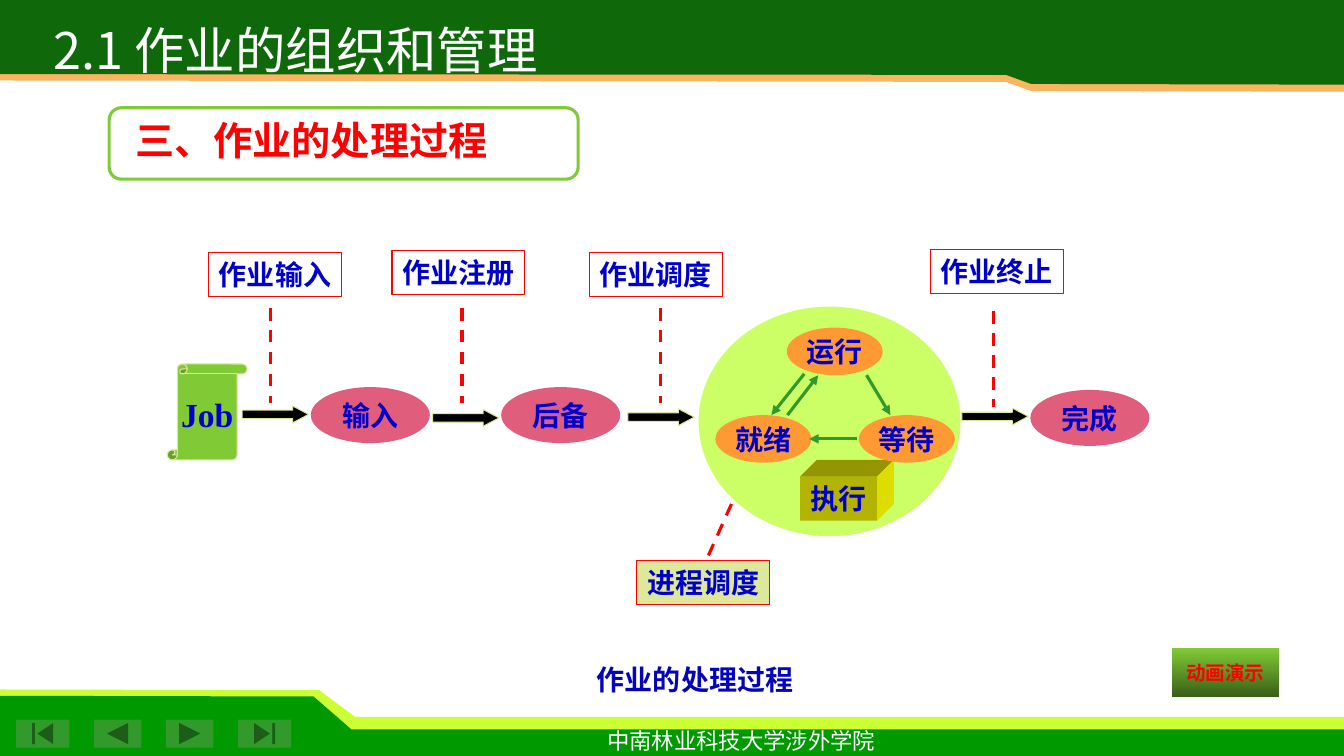
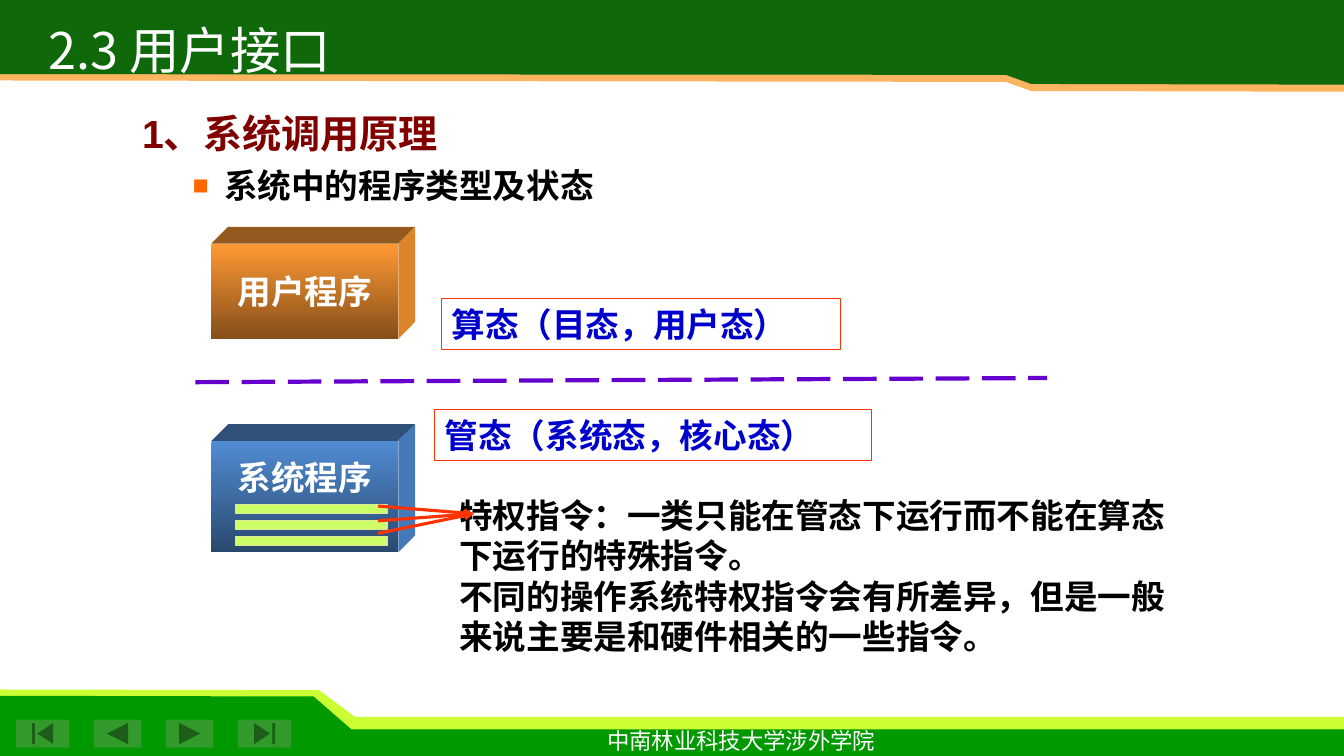
from lxml.etree import Element, SubElement
from pptx import Presentation
from pptx.dml.color import RGBColor
from pptx.enum.dml import MSO_LINE as Dash
from pptx.enum.shapes import MSO_CONNECTOR, MSO_SHAPE as Kind
from pptx.enum.text import MSO_ANCHOR as Anchor, PP_ALIGN as Align
from pptx.oxml.ns import qn
from pptx.util import Pt

rgb = RGBColor.from_string
HAN = "Noto Sans CJK SC"
ROMAN = "Times New Roman"
BLUE, RED, WHITE, BLACK = "0000CC", "FF0000", "FFFFFF", "000000"
GREEN, LEAF, LIME, CREAM = "329A2A", "80CB35", "CCFF66", "DDE89A"
ORANGE, FLAME = "FF9933", "FF3300"


def draw(slide, kind, box, fill=None, edge=None, width=0.75, text="",
         size=20, ink=BLUE, font=ROMAN, bold=True, left=False, deep=None):
    """Add a preset shape, or an outline when kind is None, with its text."""
    if kind is None:
        dots = [(Pt(x), Pt(y)) for x, y in box]
        pen = slide.shapes.build_freeform(*dots[0], scale=1.0)
        pen.add_line_segments(dots[1:], close=True)
        shape = pen.convert_to_shape()
    else:
        shape = slide.shapes.add_shape(kind, *map(Pt, box))
    shape.shadow.inherit = False
    if isinstance(fill, tuple):
        shape.fill.gradient()
        shape.fill.gradient_angle = 270
        for stop, tone in zip(shape.fill.gradient_stops, fill):
            stop.color.rgb = rgb(tone)
    elif fill:
        shape.fill.solid()
        shape.fill.fore_color.rgb = rgb(fill)
    else:
        shape.fill.background()
    if edge:
        shape.line.color.rgb = rgb(edge)
        shape.line.width = Pt(width)
    else:
        shape.line.fill.background()
    if deep:
        x, y, w, h = box
        r, b, d = x + w, y + h, 12
        draw(slide, None, [(x, y), (x + d, y - d), (r + d, y - d), (r, y)], deep[0])
        draw(slide, None, [(r, y), (r + d, y - d), (r + d, b - d), (r, b)], deep[1])
    if text:
        frame = shape.text_frame
        frame.text = text
        frame.word_wrap = left
        frame.vertical_anchor = Anchor.MIDDLE
        for par in frame.paragraphs:
            par.alignment = Align.LEFT if left else Align.CENTER
            par.font.size, par.font.bold, par.font.name = Pt(size), bold, font
            par.font.color.rgb = rgb(ink)
            SubElement(par._p.pPr.find(qn("a:defRPr")), qn("a:ea"), typeface=HAN)
    return shape


def link(slide, ends, ink, width=2.25, dash=None, head=False):
    """Add a straight line, with an arrowhead at its end if asked."""
    wire = slide.shapes.add_connector(MSO_CONNECTOR.STRAIGHT, *map(Pt, ends))
    wire.line.color.rgb = rgb(ink)
    wire.line.width = Pt(width)
    if dash:
        wire.line.dash_style = dash
    if head:
        SubElement(wire.line._get_or_add_ln(), qn("a:tailEnd"), type="triangle")
    SubElement(wire._element.spPr, qn("a:effectLst"))


deck = Presentation()
deck.slide_width, deck.slide_height = Pt(960), Pt(540)

# Shared bands, buttons, footer and title
bands = [
    ("CCFF33", [(0, 492.5), (228, 493), (253.5, 512), (960, 512), (960, 533), (0, 533)]),
    ("009900", [(0, 497), (224, 497.5), (251, 521), (960, 521), (960, 540), (0, 540)]),
    ("FBB561", [(0, 0), (960, 0), (960, 65.5), (736.5, 65), (718.5, 58.5), (0, 57.5)]),
    ("0F690B", [(0, 0), (960, 0), (960, 60.5), (736.5, 60), (718.5, 53.5), (0, 53)]),
]
keys = [
    (Kind.ACTION_BUTTON_BEGINNING, 11.5, 38),
    (Kind.ACTION_BUTTON_BACK_OR_PREVIOUS, 67, 34),
    (Kind.ACTION_BUTTON_FORWARD_OR_NEXT, 118.5, 34),
    (Kind.ACTION_BUTTON_END, 170, 38),
]
for name, x in [("2.1 作业的组织和管理", 38), ("2.3 用户接口", 34.5)]:
    slide = deck.slides.add_slide(deck.slide_layouts[5])
    for tone, dots in bands:
        draw(slide, None, dots, tone)
    for kind, at, wide in keys:
        draw(slide, kind, (at, 514, wide, 20), GREEN)
    draw(slide, Kind.RECTANGLE, (425.5, 518.5, 208, 27 - 6), text="中南林业科技大学涉外学院",
         size=16, ink=WHITE, bold=False)
    title = slide.shapes.title
    slide.shapes._spTree.append(title._element)
    title.left, title.top, title.width, title.height = map(Pt, (x, 9, 600, 52))
    frame = title.text_frame
    frame.text = name
    frame.margin_left = 0
    frame.vertical_anchor = Anchor.MIDDLE
    par = frame.paragraphs[0]
    par.alignment = Align.LEFT
    par.font.size, par.font.name = Pt(36), HAN
    par.font.color.rgb = rgb(WHITE)
    SubElement(par._p.pPr.find(qn("a:defRPr")), qn("a:ea"), typeface=HAN)
flow, calls = deck.slides

# Slide 1: heading and caption
frame = draw(flow, Kind.ROUNDED_RECTANGLE, (78, 77, 335, 51), WHITE, LEAF, 2.25)
frame.adjustments[0] = 0.17
draw(flow, Kind.RECTANGLE, (89.5, 78, 321, 44), text="三、作业的处理过程",
     size=28, ink=RED, font="Arial", left=True)
draw(flow, Kind.RECTANGLE, (418, 469, 157, 32), text="作业的处理过程", ink="0404BC")
draw(flow, Kind.ACTION_BUTTON_CUSTOM, (837, 463, 76.5, 34.5), (LEAF, "3A5F18"),
     text="动画演示", size=14, ink=RED)

# Run cycle inside the circle
draw(flow, Kind.OVAL, (499, 219, 187, 164), LIME)
draw(flow, Kind.RECTANGLE, (571.5, 340.5, 55, 31.5), "B3B300", text="执行",
     deep=("959500", "DDDD00"))
for word, x, y in [("运行", 562, 234), ("就绪", 511, 296.5), ("等待", 613.5, 296.5)]:
    draw(flow, Kind.OVAL, (x, y, 68.5, 34), ORANGE, text=word)
for ends in [(574.5, 267, 551, 296.5), (562.5, 296.5, 584.5, 268),
             (619, 268, 636, 296.5), (612, 313.5, 578, 313.5)]:
    link(flow, ends, GREEN, head=True)

# Job, states and block arrows
draw(flow, Kind.VERTICAL_SCROLL, (119.5, 260, 57, 68.5), LEAF, CREAM, text="Job", size=24)
for word, x, y in [("输入", 222, 276.5), ("后备", 358, 276.5), ("完成", 736, 278.5)]:
    draw(flow, Kind.OVAL, (x, y, 85, 40), "E15D7C", text=word)
for x, y in [(173, 290), (309, 292.5), (448.5, 292), (687, 291.5)]:
    arrow = draw(flow, Kind.RIGHT_ARROW, (x, y, 47.5, 12), BLACK, CREAM)
    arrow.adjustments[1] = 0.95

# Labels with dashed leads
for word, x, y, fill, lead in [
    ("作业输入", 149, 180.5, None, (193.5, 220, 193.5, 288)),
    ("作业注册", 280, 179, None, (330, 220, 330, 288)),
    ("作业调度", 421, 180.5, None, (471.5, 220, 471.5, 288)),
    ("作业终止", 664.5, 178, None, (709.5, 222.5, 709.5, 291)),
    ("进程调度", 455, 400.5, CREAM, (522.5, 360, 505.5, 398)),
]:
    draw(flow, Kind.RECTANGLE, (x, y, 95, 31.5), fill, RED, text=word)
    link(flow, lead, RED, dash=Dash.DASH)

# Slide 2: heading and bullet
body = draw(calls, Kind.RECTANGLE, (94.5, 74, 753.5, 80),
            text="1、系统调用原理\n系统中的程序类型及状态", size=28, ink="800000",
            font="Arial", left=True)
body.text_frame.vertical_anchor = Anchor.TOP
head, item = body.text_frame.paragraphs
head.line_spacing = Pt(34)
item.line_spacing, item.space_before = Pt(30), Pt(5)
item.font.size = Pt(24)
item.font.color.rgb = rgb(BLACK)
props = item._p.pPr
props.set("marL", str(Pt(58.5)))
props.set("indent", str(-Pt(22.5)))
tint = Element(qn("a:buClr"))
SubElement(tint, qn("a:srgbClr"), val="FF6600")
for mark in [tint, Element(qn("a:buSzPct"), val="80000"),
             Element(qn("a:buFont"), typeface="Arial"),
             Element(qn("a:buChar"), char="■")]:
    props.find(qn("a:defRPr")).addprevious(mark)

# Program boxes and the line between the two modes
draw(calls, Kind.RECTANGLE, (151, 174, 133.5, 68), (ORANGE, "854F1A"), text="用户程序",
     size=24, ink=WHITE, deep=("94591E", "DC8429"))
core = draw(calls, Kind.RECTANGLE, (151, 315, 133.5, 79.5), ("518CD3", "2A496E"),
            text="系统程序", size=24, ink=WHITE, deep=("2F517A", "4679B7"))
core.text_frame.margin_bottom = Pt(31)
link(calls, (139.5, 273, 748, 270), "6600CC", 3, Dash.LONG_DASH)
for word, box in [("算态（目态，用户态）", (315.5, 213, 285, 36.5)),
                  ("管态（系统态，核心态）", (310.5, 292.5, 312, 36.5))]:
    draw(calls, Kind.RECTANGLE, box, None, FLAME, text=word, size=24, left=True)

# Privileged instructions
note = draw(calls, Kind.RECTANGLE, (321, 349.5, 527, 124), size=24, ink=BLACK, left=True,
            text="特权指令：一类只能在管态下运行而不能在算态下运行的特殊指令。\n"
                 "不同的操作系统特权指令会有所差异，但是一般来说主要是和硬件相关的一些指令。")
note.text_frame.vertical_anchor = Anchor.TOP
for par in note.text_frame.paragraphs:
    par.line_spacing = Pt(29)
for row in range(3):
    draw(calls, Kind.RECTANGLE, (168.5, 360.5 + 11.5 * row, 108, 6), LIME, CREAM)
for y in (361.5, 372, 381):
    link(calls, (270, y, 338.5, 367), FLAME, head=True)

deck.save("out.pptx")
